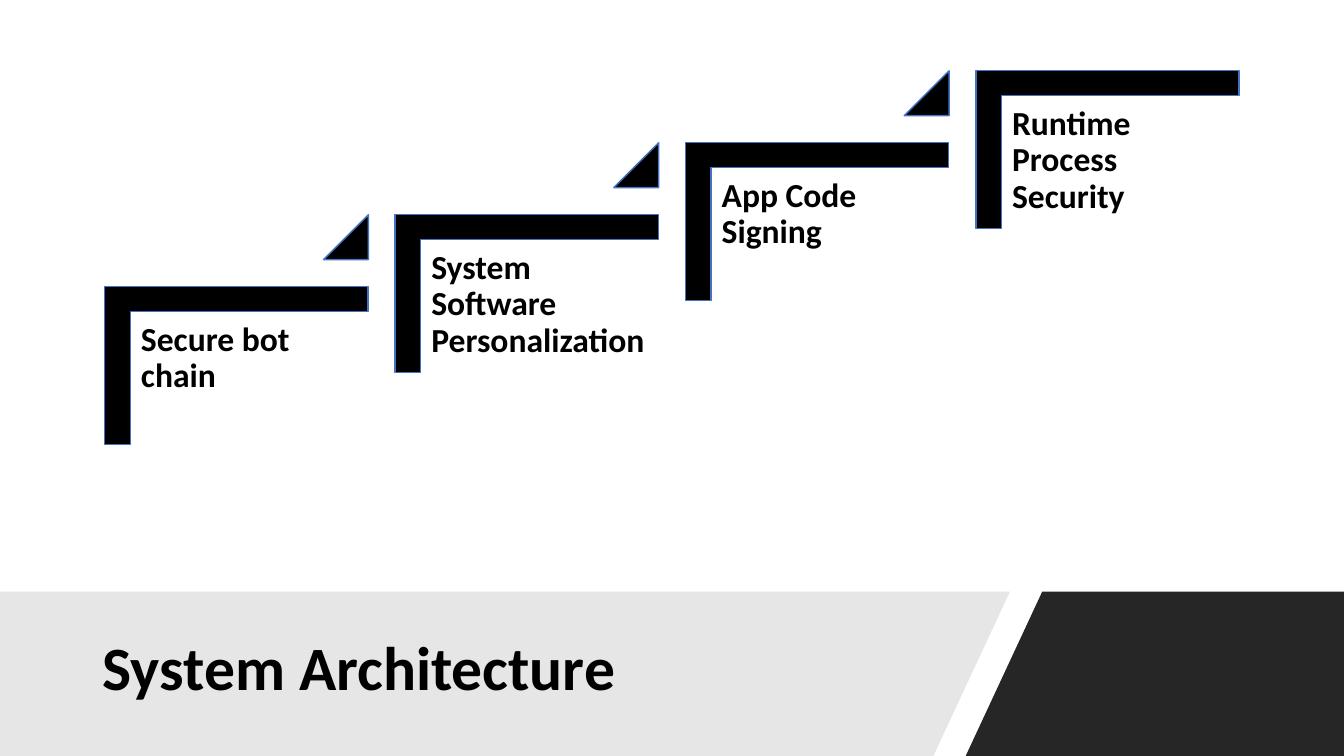
from pptx import Presentation
from pptx.dml.color import RGBColor
from pptx.enum.shapes import MSO_SHAPE
from pptx.enum.text import MSO_ANCHOR, MSO_AUTO_SIZE, PP_ALIGN
from pptx.util import Pt

CORNER = MSO_SHAPE.CORNER
TRIANGLE = MSO_SHAPE.ISOSCELES_TRIANGLE
TOP, MIDDLE = MSO_ANCHOR.TOP, MSO_ANCHOR.MIDDLE
NO_AUTOFIT = MSO_AUTO_SIZE.NONE
LEFT = PP_ALIGN.LEFT

TITLE = "System Architecture"
STEPS = [
    "Secure bot chain",
    "System Software Personalization",
    "App Code Signing",
    "Runtime Process Security",
]

COLORS = {
    "black": "000000",
    "outline": "4472C4",
    "dark_band": "262626",
    "light_band": "E7E6E6",
}
WIDTH, HEIGHT = 960, 540
BAND_TOP = 422.6
BANDS = [
    ("dark_band", [(744.5, BAND_TOP), (WIDTH, BAND_TOP), (WIDTH, HEIGHT), (689.8, HEIGHT)]),
    ("light_band", [(0, BAND_TOP), (721.4, BAND_TOP), (666.7, HEIGHT), (0, HEIGHT)]),
]
TITLE_BOX = (66, 435.6, 607.7, 86.4)

STEP_RIGHT, STEP_UP = 207.4, 51.4
CORNER_BOX = (112.3, 167, 113, 188)
LABEL_BOX = (93.6, 223.2, 169.2, 148.3)
TRIANGLE_BOX = (231.1, 153.4, 32, 32)
CORNER_THICKNESS = 0.161


def color(name):
    return RGBColor.from_string(COLORS[name])


def set_all(target, values):
    for name, value in values.items():
        setattr(target, name, value)


def paint(shape, fill, outline=None):
    shape.shadow.inherit = False
    shape.fill.solid()
    shape.fill.fore_color.rgb = color(fill)
    if outline:
        shape.line.color.rgb = color(outline)
        shape.line.width = Pt(1)
    else:
        shape.line.fill.background()


def write(shape, text, size, anchor):
    frame = shape.text_frame
    frame.text = text
    set_all(frame, {"word_wrap": True, "auto_size": NO_AUTOFIT, "vertical_anchor": anchor})
    margins = ("margin_left", "margin_top", "margin_right", "margin_bottom")
    vertical = 7.2 if anchor == TOP else 3.6
    set_all(frame, dict(zip(margins, map(Pt, (7.2, vertical, 7.2, vertical)))))
    paragraph = frame.paragraphs[0]
    set_all(paragraph, {"alignment": LEFT, "line_spacing": 0.9})
    set_all(paragraph.font, {"name": "Calibri", "size": Pt(size), "bold": True})
    paragraph.font.color.rgb = color("black")


def add_band(slide, fill, points):
    start, *others = [(Pt(x), Pt(y)) for x, y in points]
    builder = slide.shapes.build_freeform(*start)
    builder.add_line_segments(others, close=True)
    paint(builder.convert_to_shape(), fill)


def add_title(slide):
    title = slide.shapes.title
    set_all(title, dict(zip(("left", "top", "width", "height"), map(Pt, TITLE_BOX))))
    write(title, TITLE, 44, MIDDLE)
    title.element.getparent().append(title.element)


def add_step(slide, index, text):
    def place(box):
        left, top, width, height = box
        return [Pt(v) for v in (left + index * STEP_RIGHT, top - index * STEP_UP, width, height)]

    corner = slide.shapes.add_shape(CORNER, *place(CORNER_BOX))
    corner.rotation = 90
    corner.adjustments[0] = corner.adjustments[1] = CORNER_THICKNESS
    paint(corner, "black", "outline")

    write(slide.shapes.add_textbox(*place(LABEL_BOX)), text, 24, TOP)

    if index < len(STEPS) - 1:
        triangle = slide.shapes.add_shape(TRIANGLE, *place(TRIANGLE_BOX))
        triangle.adjustments[0] = 1
        paint(triangle, "black", "outline")


def main():
    presentation = Presentation()
    presentation.slide_width, presentation.slide_height = Pt(WIDTH), Pt(HEIGHT)
    slide = presentation.slides.add_slide(presentation.slide_layouts[5])
    for fill, points in BANDS:
        add_band(slide, fill, points)
    add_title(slide)
    for index, text in enumerate(STEPS):
        add_step(slide, index, text)
    presentation.save("out.pptx")


if __name__ == "__main__":
    main()
